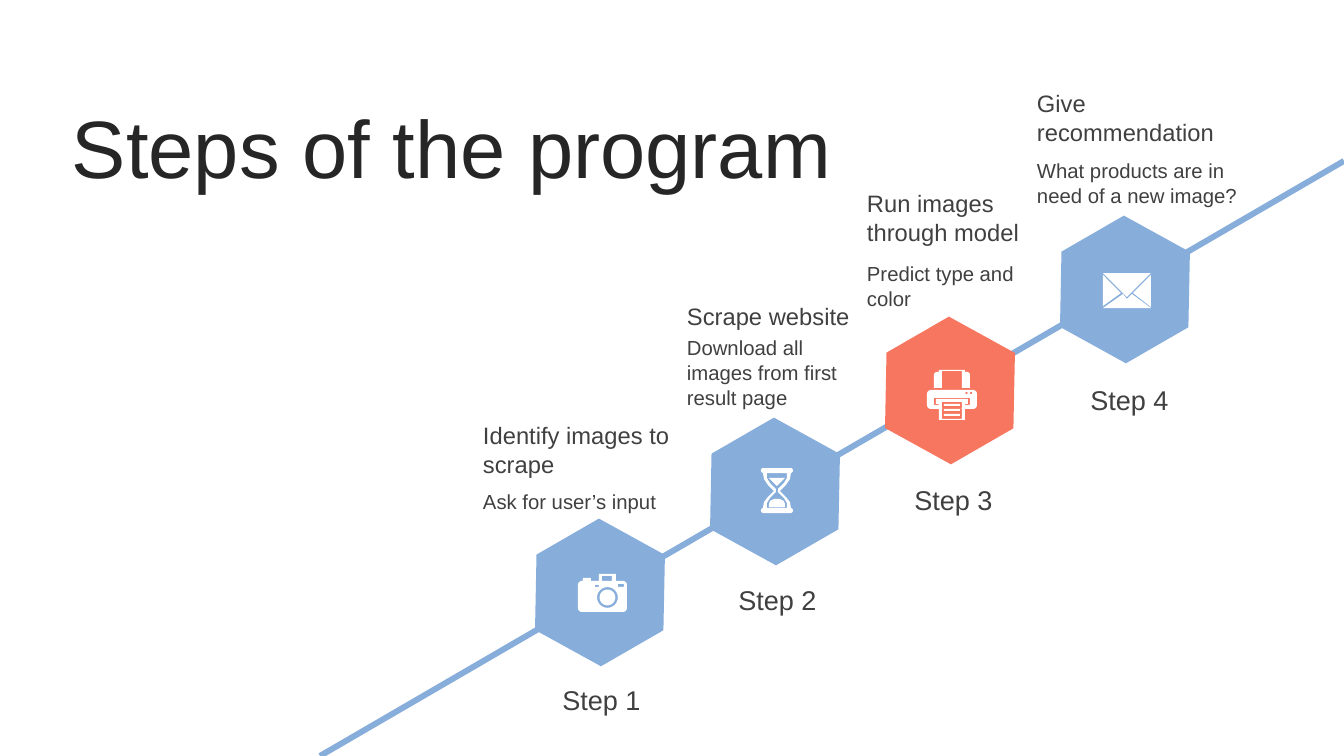
import math
from lxml import etree
from pptx import Presentation
from pptx import util as u
from pptx.dml.color import RGBColor
from pptx.enum import shapes, text
from pptx.oxml.ns import qn

PX = 914400 / 122
BLUE, CORAL, WHITE = "87ADDB", "F77660", "FFFFFF"
INK, GREY = "262626", "404040"


def emu(px):
    return u.Emu(round(px * PX))


def rgb(value):
    return RGBColor.from_string(value)


def arc(cx, cy, radius, start=0, sweep=360):
    """Points along an arc, angles in degrees, clockwise on the slide."""
    n = max(4, sweep // 15)
    angles = [math.radians(start + sweep * i / n) for i in range(n + 1)]
    return [(cx + radius * math.cos(a), cy + radius * math.sin(a)) for a in angles]


def rect(left, top, right, bottom):
    return [(left, top), (right, top), (right, bottom), (left, bottom)]


def round_rect(left, top, right, bottom, radius):
    corners = rect(left + radius, top + radius, right - radius, bottom - radius)
    return [pt for i, (x, y) in enumerate(corners)
            for pt in arc(x, y, radius, 180 + 90 * i, 90)]


# Each icon is a list of outlines; an outline inside another cuts a hole.
CAMERA = [
    round_rect(0, 7, 49, 38, 4), rect(5, 4, 13, 7),
    arc(29.5, 23.5, 10.4), arc(29.5, 23.5, 7.9),
    rect(17, 11, 21, 13), rect(40, 10, 46, 13),
    rect(21, 0, 38, 7), rect(24, 2, 34, 7),
]
HOURGLASS = [
    round_rect(0, 0, 32, 5, 2.4), round_rect(0, 40, 32, 45, 2.4),
    [(2, 5), (3, 11), (7, 17), (13, 23), (7, 29), (3, 34), (2, 40),
     (30, 40), (29, 34), (25, 29), (19, 23), (25, 17), (29, 11), (30, 5)],
    [(6, 5), (6, 10), (9, 15), (15, 21), (15, 24), (9, 30), (6, 35), (6, 40),
     (26, 40), (26, 35), (23, 30), (17, 24), (17, 21), (23, 15), (26, 10), (26, 5)],
    [(8, 10), (24, 10), (22, 12), (16, 18), (10, 12)],
    [(8, 39), (8, 36), (9, 33), (13, 31), (19, 31), (23, 33), (24, 36), (24, 39)],
]
PRINTER = [
    round_rect(0, 20, 50, 39, 4), rect(12, 39, 38, 50), rect(15, 32, 35, 49),
    *[rect(17, y, 33, y + 2) for y in (34, 39, 44)],
    [(7, 28), (7, 35), (12, 35), (12, 34), (9, 34), (9, 29),
     (41, 29), (41, 34), (38, 34), (38, 35), (43, 35), (43, 28)],
    arc(39.5, 23, 1.2), arc(44, 23, 1.2),
    [(12, 0), (38, 0), (38, 2), (41, 2), (43, 4), (43, 18), (35, 18), (35, 1),
     (15, 1), (15, 18), (7, 18), (7, 4), (9, 2), (12, 2)],
]
ENVELOPE = [
    [(29, 21), (48, 35), (0, 35), (20, 21), (24, 26)],
    [(48, 2), (48, 34), (30, 20)],
    [(0, 2), (18, 20), (0, 33)],
    [(0, 0), (48, 0), (24, 24)],
]


class Deck:
    def __init__(self, width, height):
        self.font = "Arial"
        self.prs = Presentation()
        self.prs.slide_width, self.prs.slide_height = emu(width), emu(height)
        self.s = self.prs.slides.add_slide(self.prs.slide_layouts[6])

    def paint(self, sp, color):
        sp.shadow.inherit = False
        sp.fill.solid()
        sp.fill.fore_color.rgb = rgb(color)
        sp.line.fill.background()

    def label(self, words, box, size, color=GREY, anchor="MIDDLE", align="LEFT"):
        sp = self.s.shapes.add_textbox(*map(emu, box))
        tf = sp.text_frame
        tf.word_wrap = True
        tf.vertical_anchor = getattr(text.MSO_ANCHOR, anchor)
        p = tf.paragraphs[0]
        p.text = words
        p.alignment = getattr(text.PP_ALIGN, align)
        p.line_spacing = 1.04
        p.font.name, p.font.size = self.font, u.Pt(size)
        p.font.color.rgb = rgb(color)

    def line(self, x1, y1, x2, y2, color, weight):
        c = self.s.shapes.add_connector(
            shapes.MSO_CONNECTOR.STRAIGHT, *map(emu, (x1, y1, x2, y2)))
        c.line.color.rgb = rgb(color)
        c.line.width = u.Pt(weight)
        etree.SubElement(c._element.spPr, qn("a:effectLst"))

    def hexagon(self, box, color):
        sp = self.s.shapes.add_shape(shapes.MSO_SHAPE.HEXAGON, *map(emu, box))
        sp.adjustments[0] = 0.302
        sp.rotation = 330
        self.paint(sp, color)

    def icon(self, left, top, outlines):
        placed = [[(emu(left + x), emu(top + y)) for x, y in o] for o in outlines]
        fb = self.s.shapes.build_freeform(*placed[0][0], scale=1.0)
        for i, pts in enumerate(placed):
            if i:
                fb.move_to(*pts[0])
            fb.add_line_segments(pts[1:], close=True)
        self.paint(fb.convert_to_shape(), WHITE)


# colour, icon, icon corner, heading, its box, detail, its top and height
STEPS = [
    (BLUE, CAMERA, (578, 574), "Identify images to scrape", (471, 414, 211, 70),
     "Ask for user’s input", 482, 37),
    (BLUE, HOURGLASS, (761, 468), "Scrape website", (675, 295, 200, 40),
     "Download all images from first result page", 328, 85),
    (CORAL, PRINTER, (927, 370), "Run images through model", (855, 182, 200, 70),
     "Predict type and color", 254, 61),
    (BLUE, ENVELOPE, (1103, 273), "Give recommendation", (1025, 82, 243, 70),
     "What products are in need of a new image?", 151, 61),
]


def main():
    d = Deck(1344, 756)
    d.label("Steps of the program", (60, 89, 870, 110), 48, INK)
    d.line(320, 756, 1344, 161, BLUE, 3.5)
    for i, (color, icon, corner, heading, box, detail, top, height) in enumerate(STEPS):
        d.hexagon((525 + 175 * i, 528 - 101 * i, 150, 129), color)
        d.icon(*corner, icon)
        d.label(heading, box, 14)
        d.label(detail, (box[0], top, box[2], height), 12, anchor="TOP")
        d.label(f"Step {i + 1}", (547 + 176 * i, 677 - 100 * i, 109, 45), 16,
                align="CENTER")
    d.prs.save("out.pptx")


if __name__ == "__main__":
    main()
